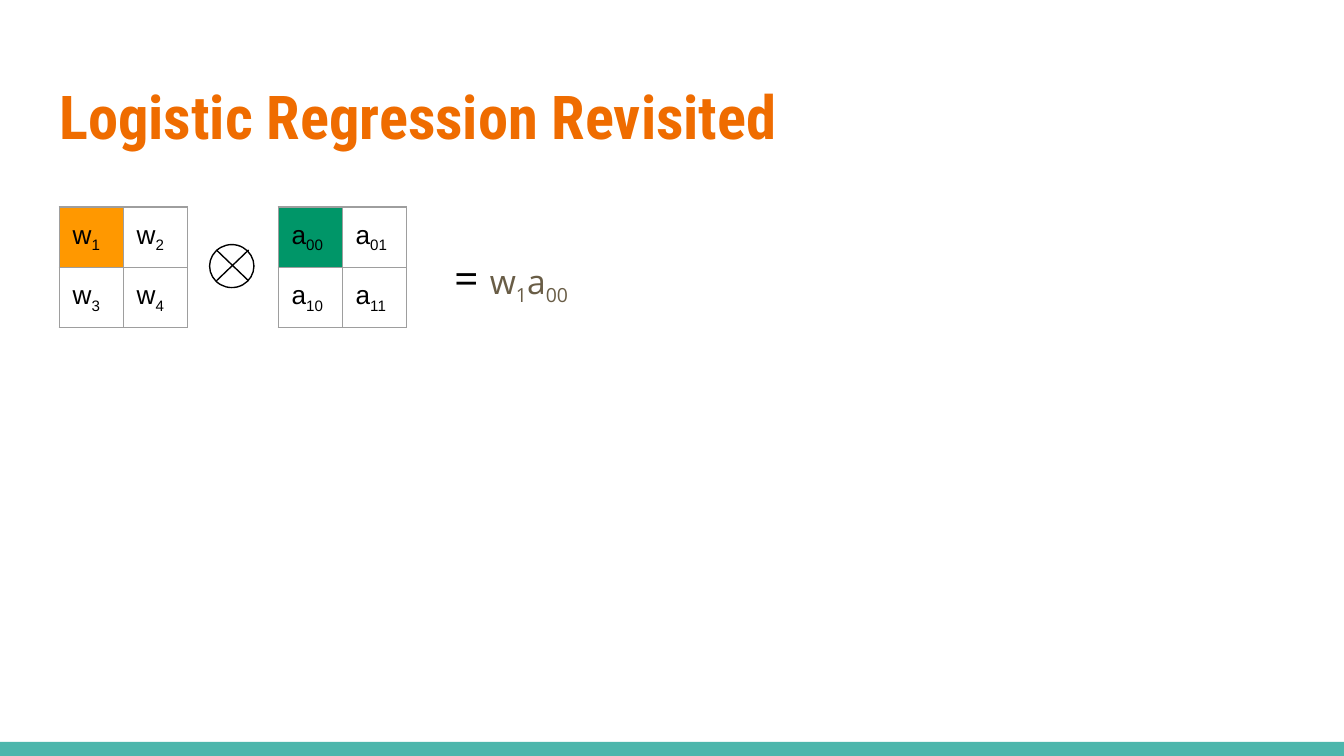
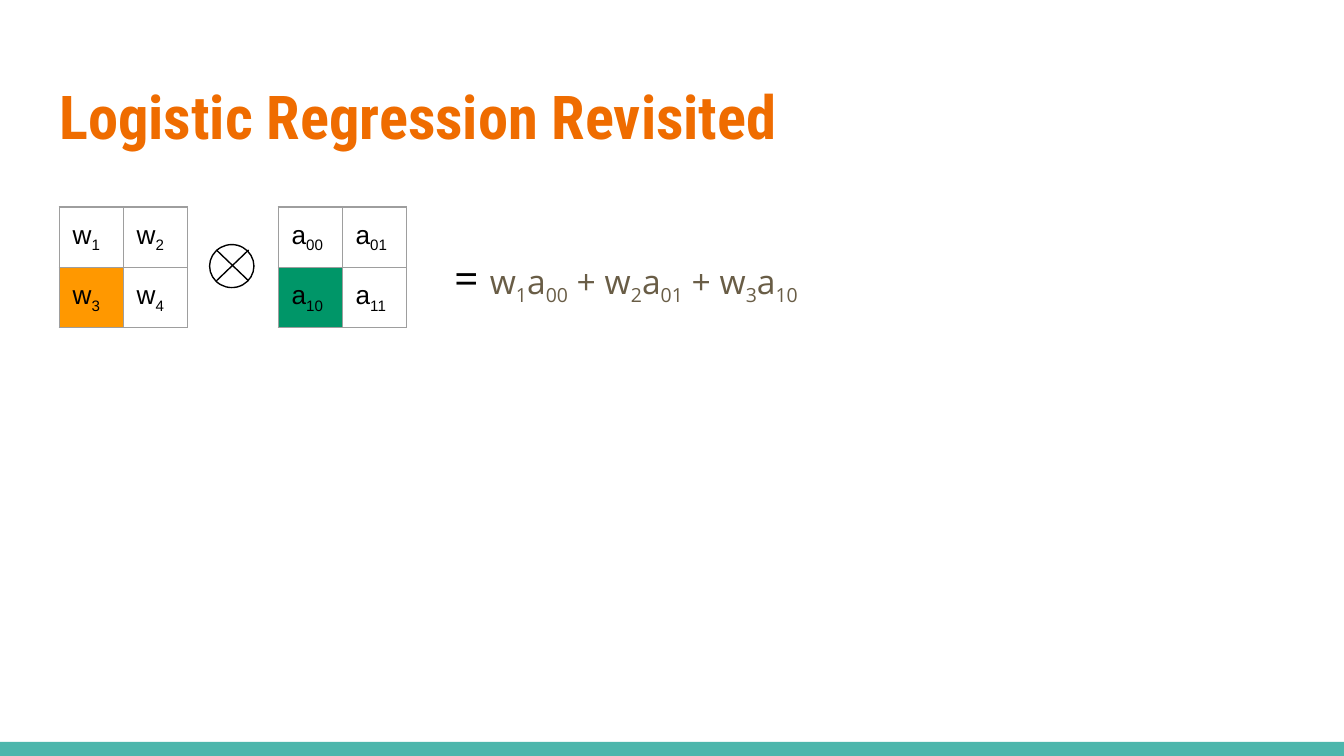
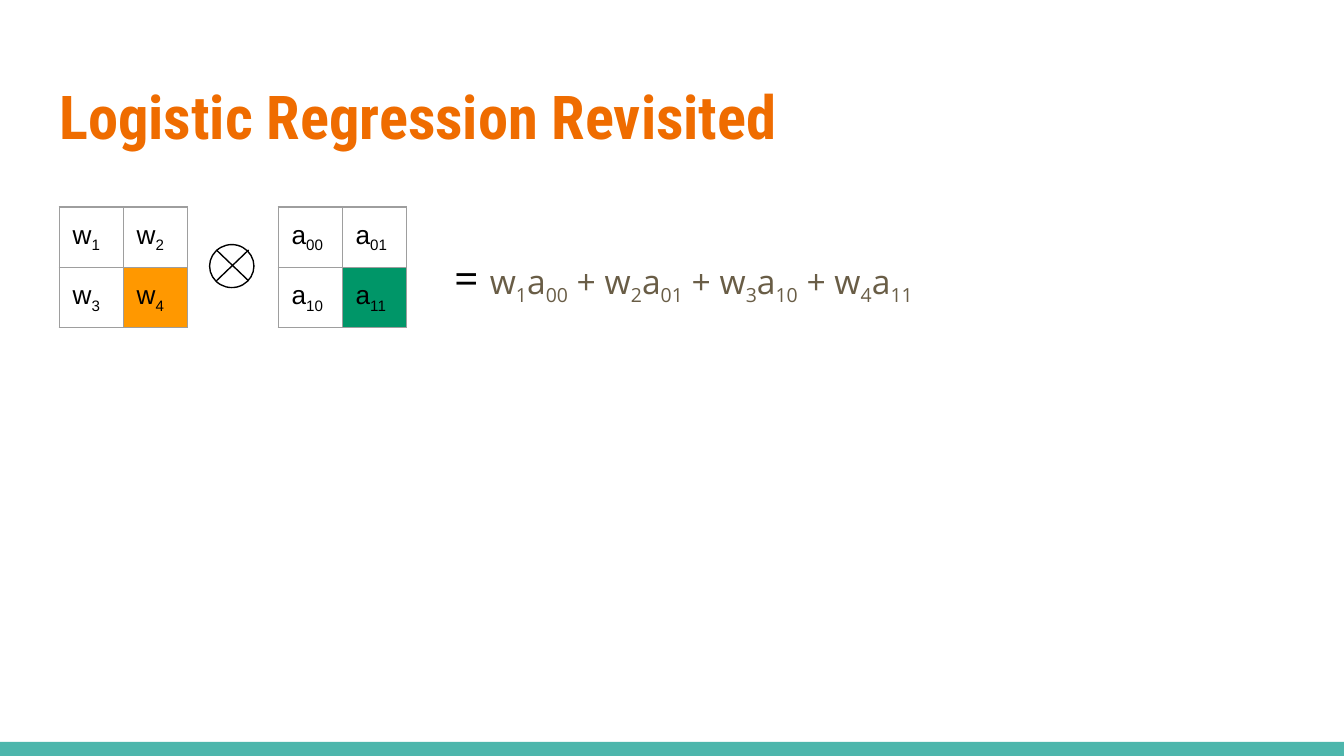
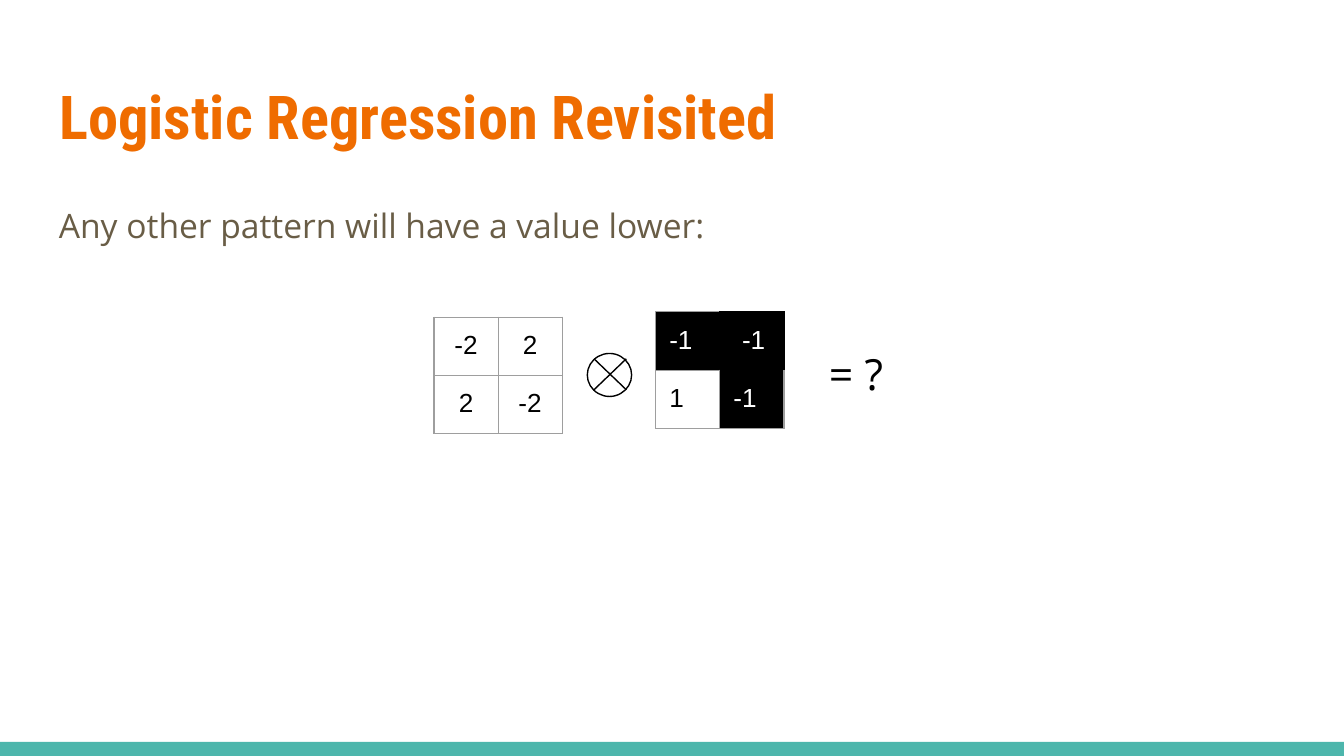
from lxml import etree
from pptx import Presentation
from pptx.dml.color import RGBColor
from pptx.enum.shapes import MSO_CONNECTOR, MSO_SHAPE
from pptx.enum.text import MSO_ANCHOR, PP_ALIGN
from pptx.oxml.ns import qn
from pptx.util import Inches, Pt

RECT, ELLIPSE = MSO_SHAPE.RECTANGLE, MSO_SHAPE.OVAL
STRAIGHT = MSO_CONNECTOR.STRAIGHT
LEFT, CENTER = PP_ALIGN.LEFT, PP_ALIGN.CENTER
TOP = MSO_ANCHOR.TOP

COLORS = {
    "title": "EF6C00",
    "body": "695D46",
    "band": "4DB6AC",
    "weight": "FF9800",
    "input": "009668",
    "grid": "9E9E9E",
    "black": "000000",
    "white": "FFFFFF",
}
TITLE_FONT, BODY_FONT, CELL_FONT = "Roboto Condensed", "Open Sans", "Arial"
TITLE = "Logistic Regression Revisited"
MARGIN = Inches(0.1)
CELL_W, CELL_H = Pt(34.3), Pt(30)
LINE_WIDTH = Pt(0.75)

WEIGHTS = ["1", "2", "3", "4"]
INPUTS = ["00", "01", "10", "11"]
# Highlighted cell and number of summed terms on each step slide
STEPS = [(0, 1), (2, 3), (3, 4)]


def rgb(name):
    return RGBColor.from_string(COLORS[name])


# Text
def add_run(p, text, font, size, color, bold=False, subscript=False):
    r = p.add_run()
    r.text = text
    r.font.name, r.font.size, r.font.bold = font, Pt(size), bold
    r.font.color.rgb = rgb(color)
    if subscript:
        r.font._element.set("baseline", "-25000")


def add_symbol(p, letter, index, font, size, color):
    add_run(p, letter, font, size, color)
    add_run(p, index, font, size, color, subscript=True)


def set_frame(tf):
    tf.word_wrap = True
    tf.vertical_anchor = TOP
    tf.margin_left = tf.margin_right = tf.margin_top = tf.margin_bottom = MARGIN


def add_text_line(slide, left, top, width, height):
    box = slide.shapes.add_textbox(Inches(left), Inches(top),
                                   Inches(width), Inches(height))
    set_frame(box.text_frame)
    p = box.text_frame.paragraphs[0]
    p.line_spacing = 1.15
    return p


# Slide frame
def add_slide(prs):
    slide = prs.slides.add_slide(prs.slide_layouts[5])
    title = slide.shapes.title
    title.left, title.top = Inches(0.34), Inches(0.49)
    title.width, title.height = Inches(9.32), Inches(0.77)
    set_frame(title.text_frame)
    p = title.text_frame.paragraphs[0]
    p.alignment = LEFT
    add_run(p, TITLE, TITLE_FONT, 32.4, "title", bold=True)
    return slide


def add_master_band(prs, slide):
    sp = slide.shapes.add_shape(RECT, 0, Inches(5.52), prs.slide_width, Inches(0.11))
    sp.shadow.inherit = False
    sp.fill.solid()
    sp.fill.fore_color.rgb = rgb("band")
    sp.line.fill.background()
    prs.slide_master.shapes.element.append(sp.element)


# Two-by-two grids
def set_borders(cell, colors):
    tc_pr = cell._tc.get_or_add_tcPr()
    for side, color in zip("LRTB", colors):
        ln = etree.SubElement(tc_pr, qn(f"a:ln{side}"), w=str(LINE_WIDTH))
        fill = etree.SubElement(ln, qn("a:solidFill"))
        etree.SubElement(fill, qn("a:srgbClr"), val=COLORS[color])


def add_grid(slide, left, top, write_cell, fills, borders=None, align=LEFT):
    """Draw a 2 x 2 table; cells are numbered 0 to 3 in reading order."""
    table = slide.shapes.add_table(2, 2, Inches(left), Inches(top),
                                   2 * CELL_W, 2 * CELL_H).table
    table.first_row = table.horz_banding = False
    for i, cell in enumerate(table.iter_cells()):
        cell.margin_left = cell.margin_right = MARGIN
        cell.margin_top = cell.margin_bottom = MARGIN
        set_borders(cell, (borders or {}).get(i, ["grid"] * 4))
        if i in fills:
            cell.fill.solid()
            cell.fill.fore_color.rgb = rgb(fills[i])
        else:
            cell.fill.background()
        p = cell.text_frame.paragraphs[0]
        p.alignment = align
        write_cell(p, i)


def add_symbol_grid(slide, left, top, letter, indices, fills):
    def write_cell(p, i):
        add_symbol(p, letter, indices[i], CELL_FONT, 14, "black")
    add_grid(slide, left, top, write_cell, fills)


def add_number_grid(slide, left, top, cells, **style):
    def write_cell(p, i):
        for text, color in cells[i]:
            add_run(p, text, CELL_FONT, 14, color)
    add_grid(slide, left, top, write_cell, **style)


# Circled-times operator
def add_operator(slide, left, top):
    circle = slide.shapes.add_shape(ELLIPSE, Inches(left), Inches(top),
                                    Inches(0.33), Inches(0.32))
    circle.shadow.inherit = False
    circle.fill.background()
    strokes = [circle]
    x1, x2 = Inches(left + 0.05), Inches(left + 0.29)
    y1, y2 = Inches(top + 0.04), Inches(top + 0.27)
    for start, end in ((y2, y1), (y1, y2)):
        line = slide.shapes.add_connector(STRAIGHT, x1, start, x2, end)
        etree.SubElement(line._element.spPr, qn("a:effectLst"))
        strokes.append(line)
    for stroke in strokes:
        stroke.line.color.rgb = rgb("black")
        stroke.line.width = LINE_WIDTH


# Slides
def add_step_slide(prs, active, term_count):
    slide = add_slide(prs)
    add_symbol_grid(slide, 2.07, 1.54, "a", INPUTS, {active: "input"})
    add_symbol_grid(slide, 0.44, 1.54, "w", WEIGHTS, {active: "weight"})
    add_operator(slide, 1.56, 1.82)
    p = add_text_line(slide, 3.28, 1.71, 4.81, 0.47)
    add_run(p, "= ", BODY_FONT, 23, "black")
    for i in range(term_count):
        weight = " + w" if i else "w"
        add_symbol(p, weight, WEIGHTS[i], BODY_FONT, 18, "body")
        add_symbol(p, "a", INPUTS[i], BODY_FONT, 18, "body")
    return slide


def add_pattern_slide(prs):
    slide = add_slide(prs)
    p = add_text_line(slide, 0.34, 1.38, 9.32, 0.62)
    p.space_after = Pt(12)
    add_run(p, "Any other pattern will have a value lower:", BODY_FONT, 18, "body")

    pattern = [[("-1", "white")], [("-", "black"), ("-1", "white")],
               [("1", "black")], [("-1", "white")]]
    add_number_grid(slide, 4.88, 2.32, pattern,
                    fills={i: "black" for i in (0, 1, 3)},
                    borders={0: ["grid", "black", "grid", "grid"],
                             1: ["black"] * 4,
                             3: ["grid", "grid", "black", "grid"]})
    weights = [[(value, "black")] for value in ("-2", "2", "2", "-2")]
    add_number_grid(slide, 3.23, 2.36, weights, fills={}, align=CENTER)
    add_operator(slide, 4.37, 2.63)
    p = add_text_line(slide, 6.07, 2.43, 0.7, 0.47)
    add_run(p, "= ?", BODY_FONT, 23, "black")


def main():
    prs = Presentation()
    prs.slide_width = Inches(10)
    prs.slide_height = prs.slide_width * 9 // 16
    steps = [add_step_slide(prs, active, count) for active, count in STEPS]
    add_master_band(prs, steps[0])
    add_pattern_slide(prs)
    prs.save("out.pptx")


if __name__ == "__main__":
    main()
